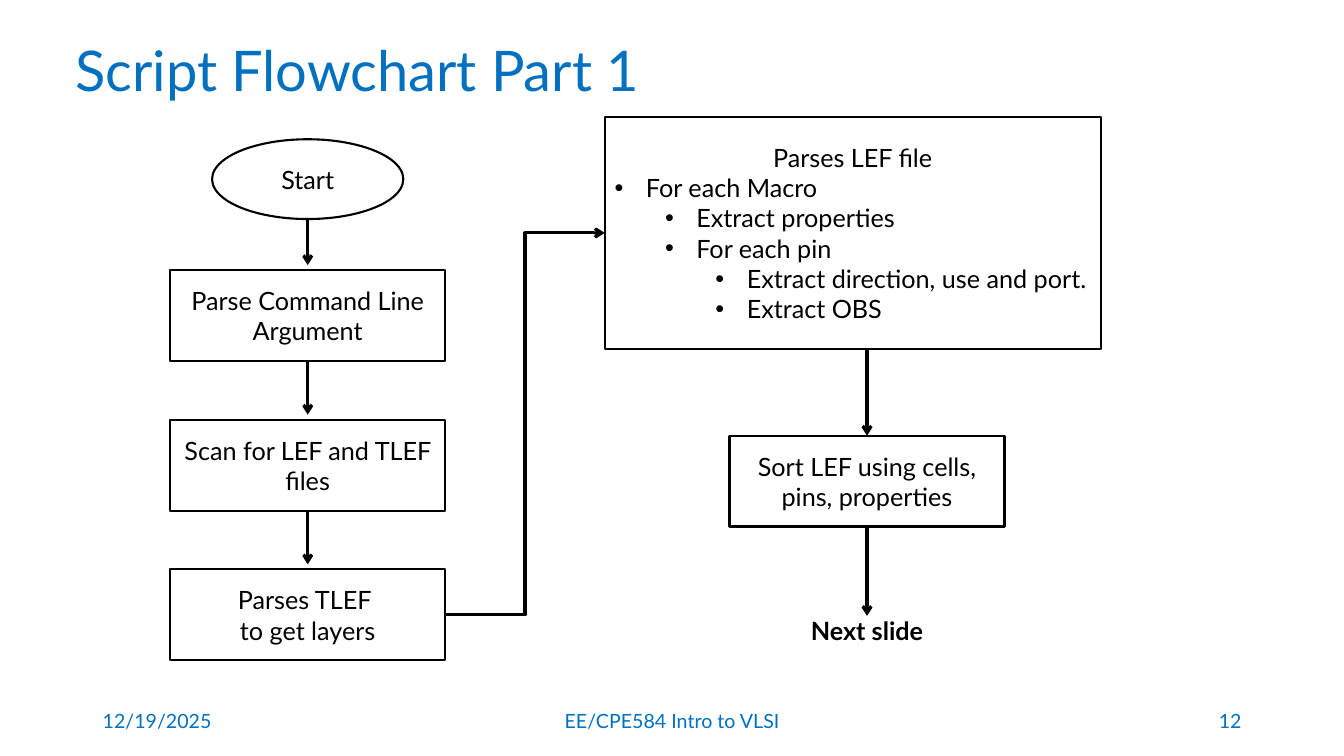
from collections import namedtuple
from dataclasses import dataclass

from lxml import etree
from pptx import Presentation
from pptx import util as u
from pptx.dml import color
from pptx.enum import shapes, text
from pptx.oxml import ns

Box = namedtuple("Box", "left top width height")


@dataclass(frozen=True)
class Theme:
    """Colours, font and sizes shared by the whole slide."""
    font: str = "Lato"
    accent: str = "0070C0"
    ink: str = "000000"
    paper: str = "FFFFFF"
    title: int = 40
    body: int = 18
    footer: int = 14
    outline: float = 1.5
    arrow: float = 2.25


THEME = Theme()
ALIGN = text.PP_ALIGN
STEP_WIDTH, STEP_HEIGHT = 6.93, 2.29


def apply(target, formats):
    """Set every attribute named in formats on the target."""
    for name, value in formats.items():
        setattr(target, name, value)


def lengths(box):
    """Turn a box in centimetres into slide lengths."""
    return [u.Cm(value) for value in box]


def add_bullet(para, level):
    """Give a paragraph a hanging bullet at its level."""
    para.level = level
    props = para._p.get_or_add_pPr()
    props.set("marL", str(u.Cm(0.79 + 1.27 * level)))
    props.set("indent", str(-u.Cm(0.79)))
    etree.SubElement(props, ns.qn("a:buFont")).set("typeface", "Arial")
    etree.SubElement(props, ns.qn("a:buChar")).set("char", "•")


def write(frame, lines, size=THEME.body, ink=THEME.ink, align=ALIGN.CENTER, bold=False,
          wrap=True, anchor=text.MSO_ANCHOR.MIDDLE):
    """Fill a text frame with lines, each a string or a (level, string) bullet."""
    apply(frame, {"word_wrap": wrap, "auto_size": text.MSO_AUTO_SIZE.NONE,
                  "vertical_anchor": anchor})
    for index, line in enumerate(lines):
        para = frame.add_paragraph() if index else frame.paragraphs[0]
        if isinstance(line, tuple):
            level, line = line
            add_bullet(para, level)
            para.alignment = ALIGN.LEFT
        else:
            para.alignment = align
        span = para.add_run()
        span.text = line
        apply(span.font, {"name": THEME.font, "size": u.Pt(size), "bold": bold})
        span.font.color.rgb = color.RGBColor.from_string(ink)


def add_label(page, box, line, **formats):
    """Place a line of free text."""
    write(page.shapes.add_textbox(*lengths(box)).text_frame, [line], **formats)


def add_node(page, box, lines, kind=shapes.MSO_SHAPE.RECTANGLE):
    """Place an outlined flowchart node."""
    node = page.shapes.add_shape(kind, *lengths(box))
    node.shadow.inherit = False
    node.fill.solid()
    node.fill.fore_color.rgb = color.RGBColor.from_string(THEME.paper)
    node.line.color.rgb = color.RGBColor.from_string(THEME.ink)
    node.line.width = u.Pt(THEME.outline)
    write(node.text_frame, lines)
    return node


def add_arrow(page, start, end, kind=shapes.MSO_CONNECTOR.STRAIGHT):
    """Draw an arrow between two points in centimetres."""
    arrow = page.shapes.add_connector(kind, *lengths(start + end))
    arrow.line.color.rgb = color.RGBColor.from_string(THEME.ink)
    arrow.line.width = u.Pt(THEME.arrow)
    etree.SubElement(arrow.line._get_or_add_ln(), ns.qn("a:tailEnd")).set("type", "arrow")
    etree.SubElement(arrow._element.spPr, ns.qn("a:effectLst"))
    return arrow


def add_title(page, box, line):
    """Move the title placeholder into the box and fill it."""
    title = page.shapes.title
    apply(title, dict(zip(box._fields, lengths(box))))
    write(title.text_frame, [line], size=THEME.title, ink=THEME.accent, align=ALIGN.LEFT)
    title.text_frame.paragraphs[0].line_spacing = 0.9


def add_setup_column(page, box, steps):
    """Stack the start node and the steps below it; return the last step."""
    middle = box.left + box.width / 2
    pitch, first, gap, reach = 3.77, box.top + 3.3, 0.13, 1.35
    for index, lines in enumerate(steps):
        top = first + index * pitch
        add_arrow(page, (middle, top - gap - reach), (middle, top - gap))
        step = add_node(page, Box(box.left, top, box.width, STEP_HEIGHT), lines)
    add_node(page, Box(middle - 2.41, box.top, 4.82, 2.01), ["Start"],
             shapes.MSO_SHAPE.OVAL)
    return step


def add_parse_column(page, box, lines, step, onward):
    """Stack the parsing node, the sorting step and the onward label; return the first."""
    parse_height, middle = 5.84, box.left + 6.61
    sort_top = box.top + 8.03
    sort_bottom, bottom = sort_top + STEP_HEIGHT, box.top + box.height
    parse = add_node(page, Box(box.left, box.top, box.width, parse_height), lines)
    add_node(page, Box(middle - STEP_WIDTH / 2, sort_top, STEP_WIDTH, STEP_HEIGHT), [step])
    add_arrow(page, (middle, box.top + parse_height), (middle, sort_top))
    add_arrow(page, (middle, sort_bottom), (middle, bottom))
    add_label(page, Box(middle - 1.7, bottom - 0.15, 3.4, 1.02), onward, bold=True,
              wrap=False, anchor=text.MSO_ANCHOR.TOP)
    return parse


def add_footer(page, box, date, course, number):
    """Set the date, course and slide number along the box."""
    side, centre = 7.62, 11.43
    right = box.left + box.width
    parts = [(box.left, side, date, ALIGN.LEFT),
             (box.left + (box.width - centre) / 2, centre, course, ALIGN.CENTER),
             (right - side, side, number, ALIGN.RIGHT)]
    for left, width, line, align in parts:
        add_label(page, Box(left, box.top, width, box.height), line,
                  size=THEME.footer, ink=THEME.accent, align=align)


def add_flowchart(page):
    """Lay out the flowchart slide."""
    add_title(page, Box(1.65, 0, 29.21, 3.68), "Script Flowchart Part 1")
    last = add_setup_column(page, Box(4.29, 3.51, STEP_WIDTH, 13.13), [
        ["Parse Command Line Argument"],
        ["Scan for LEF and TLEF files"],
        ["Parses TLEF ", "to get layers"],
    ])
    parse = add_parse_column(page, Box(15.24, 2.95, 12.5, 12.57), [
        "Parses LEF file",
        (0, "For each Macro"),
        (1, "Extract properties"),
        (1, "For each pin"),
        (2, "Extract direction, use and port."),
        (2, "Extract OBS"),
    ], "Sort LEF using cells, pins, properties", "Next slide")
    link = add_arrow(page, (11.22, 15.5), (15.24, 5.87), shapes.MSO_CONNECTOR.ELBOW)
    link.begin_connect(last, 3)
    link.end_connect(parse, 1)
    add_footer(page, Box(2.34, 17.65, 29.2, 1.02), "12/19/2025",
               "EE/CPE584 Intro to VLSI", "12")


def main():
    """Build and save the deck."""
    deck = Presentation()
    apply(deck, {"slide_width": u.Cm(33.87), "slide_height": u.Cm(19.05)})
    add_flowchart(deck.slides.add_slide(deck.slide_layouts.get_by_name("Title Only")))
    deck.save("out.pptx")


if __name__ == "__main__":
    main()
